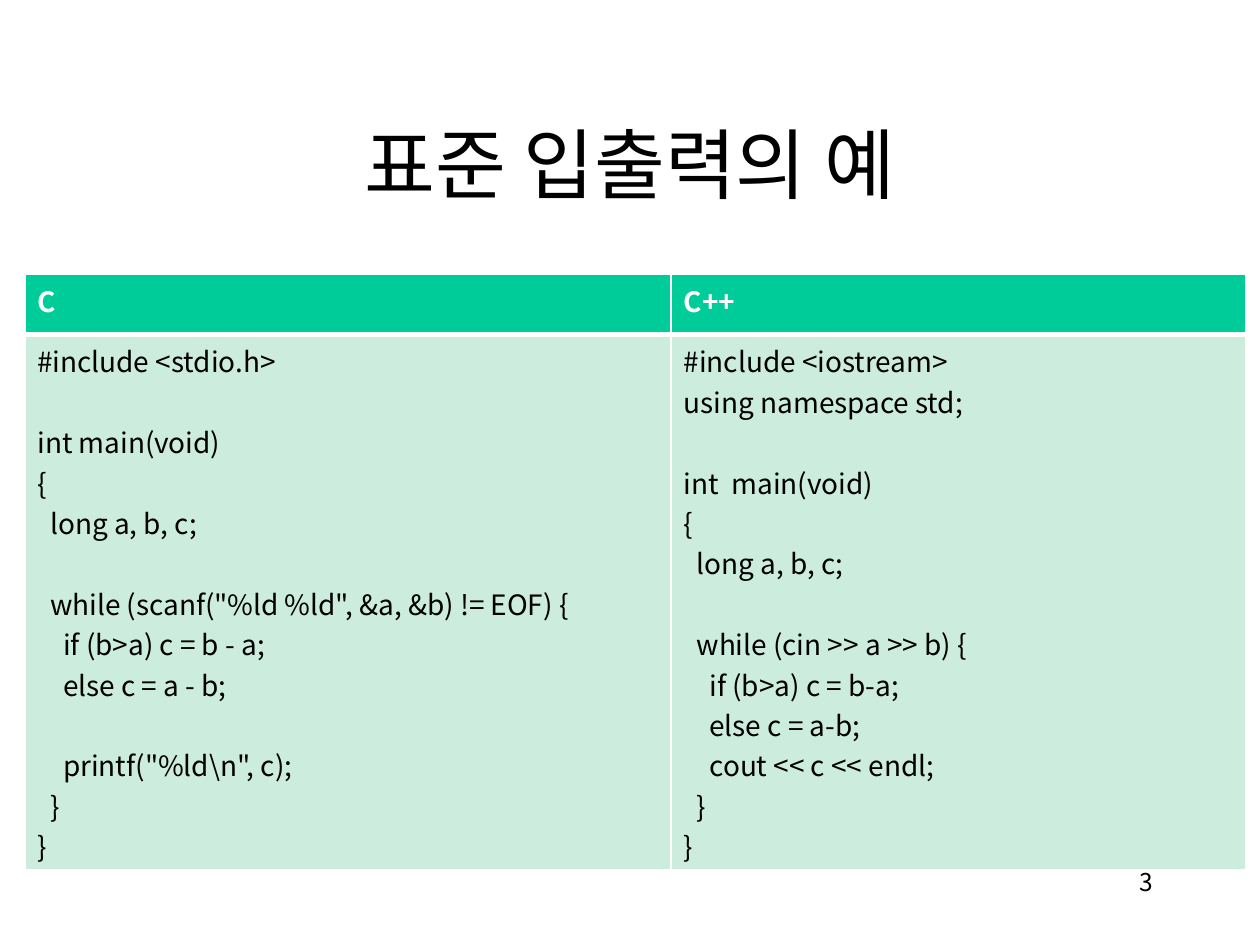
"""Build a slide comparing standard input and output in C and C++."""
import lxml.etree
import pptx
import pptx.dml.color
import pptx.enum.text
import pptx.oxml.ns
import pptx.util

Cm = pptx.util.Cm
Pt = pptx.util.Pt
RGBColor = pptx.dml.color.RGBColor
ALIGN = pptx.enum.text.PP_ALIGN
ANCHOR = pptx.enum.text.MSO_ANCHOR
qn = pptx.oxml.ns.qn

TITLE = "표준 입출력의 예"
PAGE_NUMBER = "3"
PROGRAMS = {
    "C": r"""#include <stdio.h>

int main(void)
{
  long a, b, c;

  while (scanf("%ld %ld", &a, &b) != EOF) {
    if (b>a) c = b - a;
    else c = a - b;

    printf("%ld\n", c);
  }
}""",
    "C++": """#include <iostream>
using namespace std;

int  main(void)
{
  long a, b, c;

  while (cin >> a >> b) {
    if (b>a) c = b-a;
    else c = a-b;
    cout << c << endl;
  }
}""",
}

FONT = "Noto Sans CJK KR"
BLACK = RGBColor(0x00, 0x00, 0x00)
WHITE = RGBColor(0xFF, 0xFF, 0xFF)
GREEN = RGBColor(0x00, 0xCC, 0x99)
PALE_GREEN = RGBColor(0xCC, 0xEC, 0xDE)
CODE_SIZE = 16
LINE_PITCH = Pt(23.17)
SPACE_WIDTH = Cm(0.13)
COLUMN_WIDTHS = (Cm(13.03), Cm(11.58))
ROW_HEIGHTS = (Cm(1.22), Cm(10.8))
THIN, THICK = Pt(1), Pt(3)


def write(paragraph, text, size, color=BLACK, bold=False):
    """Fill a paragraph with text in the slide's font."""
    paragraph.text = text
    font = paragraph.font
    font.name, font.size, font.bold = FONT, Pt(size), bold
    font.color.rgb = color
    defaults = paragraph._p.pPr.find(qn("a:defRPr"))
    lxml.etree.SubElement(defaults, qn("a:ea")).set("typeface", FONT)


def write_code(frame, code):
    """Write code, turning blank lines into spacing and leading spaces into indents."""
    paragraph = frame.paragraphs[0]
    after_gap = False
    for number, line in enumerate(code.splitlines()):
        statement = line.lstrip()
        if not statement:
            after_gap = True
            continue
        if number:
            paragraph = frame.add_paragraph()
        properties = paragraph._p.get_or_add_pPr()
        properties.set("marL", str((len(line) - len(statement)) * SPACE_WIDTH))
        if after_gap:
            paragraph.space_before = LINE_PITCH
        write(paragraph, statement, CODE_SIZE)
        after_gap = False


def style_cell(cell, fill, top, bottom):
    """Give a cell white borders and a solid fill."""
    properties = cell._tc.get_or_add_tcPr()
    for side, width in (("L", THIN), ("R", THIN), ("T", top), ("B", bottom)):
        border = lxml.etree.SubElement(properties, qn(f"a:ln{side}"), w=str(width))
        paint = lxml.etree.SubElement(border, qn("a:solidFill"))
        lxml.etree.SubElement(paint, qn("a:srgbClr"), val=str(WHITE))
    cell.fill.solid()
    cell.fill.fore_color.rgb = fill


def add_label(slide, text, place, size, align, anchor):
    """Add a one-line text box."""
    frame = slide.shapes.add_textbox(*map(Cm, place)).text_frame
    frame.word_wrap = True
    frame.vertical_anchor = anchor
    frame.paragraphs[0].alignment = align
    write(frame.paragraphs[0], text, size)


def main():
    """Lay out the slide and save it."""
    deck = pptx.Presentation()
    deck.slide_width, deck.slide_height = Cm(25.4), Cm(19.05)
    slide = deck.slides.add_slide(deck.slide_layouts[6])

    add_label(slide, TITLE, (1.9, 1.7, 21.6, 3.18), 44, ALIGN.CENTER, ANCHOR.MIDDLE)

    comparison = slide.shapes.add_table(
        len(ROW_HEIGHTS), len(PROGRAMS), Cm(0.5), Cm(5.52),
        sum(COLUMN_WIDTHS), sum(ROW_HEIGHTS)).table
    comparison.horz_banding = False
    for row, height in zip(comparison.rows, ROW_HEIGHTS):
        row.height = height
    for index, (language, code) in enumerate(PROGRAMS.items()):
        comparison.columns[index].width = COLUMN_WIDTHS[index]
        heading, body = comparison.cell(0, index), comparison.cell(1, index)
        style_cell(heading, GREEN, THIN, THICK)
        style_cell(body, PALE_GREEN, THICK, THIN)
        write(heading.text_frame.paragraphs[0], language, CODE_SIZE, WHITE, True)
        write_code(body.text_frame, code)

    add_label(slide, PAGE_NUMBER, (18.2, 17.35, 5.3, 1.27), 14, ALIGN.RIGHT, ANCHOR.TOP)
    deck.save("out.pptx")


if __name__ == "__main__":
    main()
